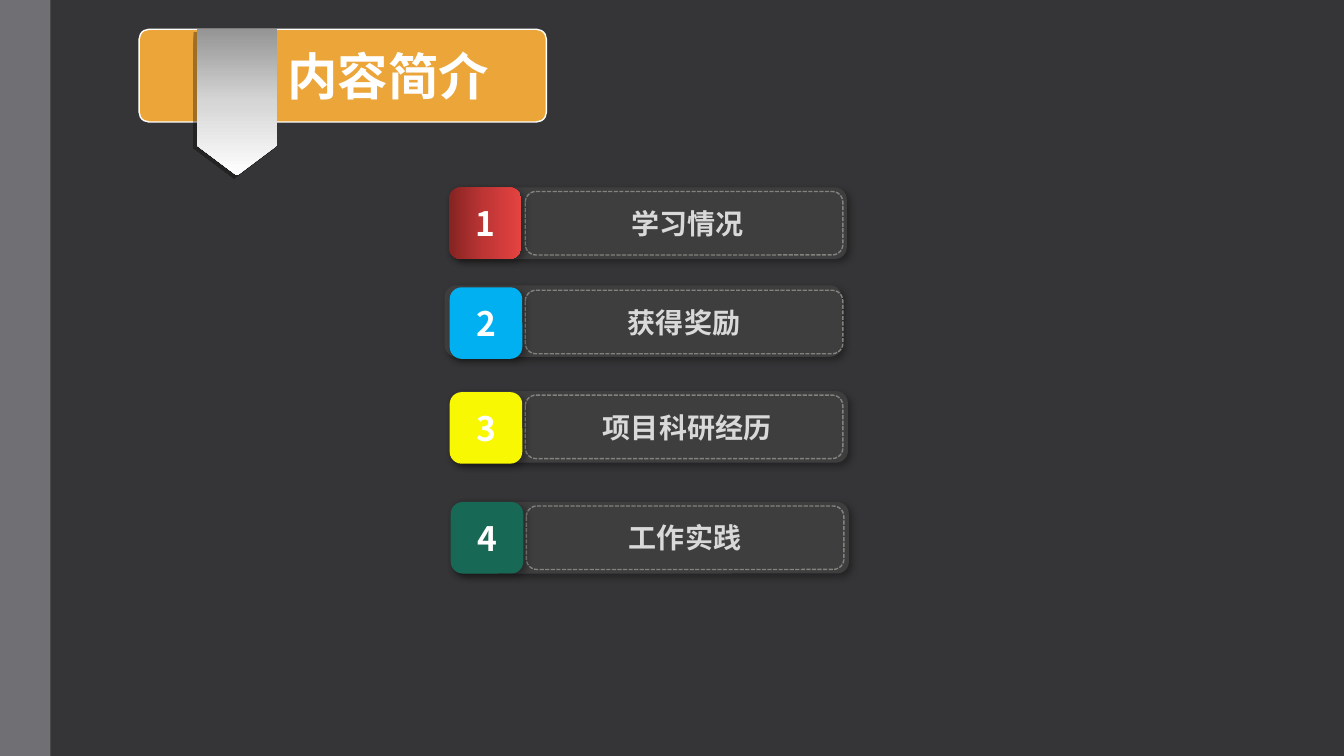
from dataclasses import dataclass

from lxml.etree import SubElement
from pptx import Presentation
from pptx.dml.color import RGBColor
from pptx.enum.dml import MSO_LINE
from pptx.enum.shapes import MSO_SHAPE
from pptx.enum.text import MSO_ANCHOR, PP_ALIGN
from pptx.oxml.ns import qn
from pptx.util import Inches, Pt


@dataclass(frozen=True)
class Theme:
    font: str = "Noto Sans CJK SC"
    background: str = "353537"
    rail: str = "6F6F74"
    banner: str = "ECA539"
    white: str = "FFFFFF"
    bar: str = "3E3E3E"
    dashes: str = "82827E"
    label: str = "D9D9D9"
    ribbon: tuple = ("959595", "D6D6D6", "FFFFFF")
    red: tuple = ("842322", "BF3635", "E44341")
    blue: str = "00B0F0"
    yellow: str = "F8F802"
    green: str = "176854"
    title_size: int = 36
    number_size: int = 24
    label_size: int = 20


THEME = Theme()

# Each row: topic, badge colour, (left, top) of bar, frame and badge, label inset
TOPICS = [
    ("学习情况", THEME.red, (4.46, 1.86), (5.21, 1.9), (4.45, 1.86), 0.16),
    ("获得奖励", THEME.blue, (4.41, 2.83), (5.21, 2.88), (4.46, 2.85), 0.1),
    ("项目科研经历", THEME.yellow, (4.47, 3.88), (5.21, 3.92), (4.46, 3.89), 0.16),
    ("工作实践", THEME.green, (4.48, 4.98), (5.22, 5.02), (4.47, 4.98), 0.1),
]
BAR_SIZE, FRAME_SIZE, BADGE_SIZE = (3.94, 0.71), (3.15, 0.63), (0.72, 0.71)
ROW_ROUNDING = 0.167


def rgb(value):
    return RGBColor.from_string(value)


def paint(shape, fill=None, angle=0):
    """Fill with a colour, with an evenly spaced gradient, or not at all."""
    if fill is None:
        shape.fill.background()
    elif isinstance(fill, str):
        shape.fill.solid()
        shape.fill.fore_color.rgb = rgb(fill)
    else:
        shape.fill.gradient()
        shape.fill.gradient_angle = angle
        stops = shape._element.spPr.find(".//" + qn("a:gsLst"))
        for stop in list(stops):
            stops.remove(stop)
        for index, colour in enumerate(fill):
            position = 100000 * index // (len(fill) - 1)
            stop = SubElement(stops, qn("a:gs"), pos=str(position))
            SubElement(stop, qn("a:srgbClr"), val=colour)


def outline(shape, colour=None, dash=None):
    if colour is None:
        shape.line.fill.background()
        return
    shape.line.color.rgb = rgb(colour)
    shape.line.width = Pt(1)
    if dash is not None:
        shape.line.dash_style = dash


def cast_shadow(shape, blur=5, direction=45):
    effects = shape._element.spPr.find(qn("a:effectLst"))
    shadow = SubElement(effects, qn("a:outerShdw"), blurRad=str(Pt(blur)),
                        dist=str(Pt(3)), dir=str(direction * 60000),
                        algn="ctr", rotWithShape="0")
    colour = SubElement(shadow, qn("a:srgbClr"), val="000000")
    SubElement(colour, qn("a:alpha"), val="33000")


def add_box(slide, position, size, rounding=None, fill=None, line=None, dash=None):
    kind = MSO_SHAPE.RECTANGLE if rounding is None else MSO_SHAPE.ROUNDED_RECTANGLE
    box = slide.shapes.add_shape(kind, *map(Inches, position + size))
    if rounding is not None:
        box.adjustments[0] = rounding
    box.shadow.inherit = False
    paint(box, fill)
    outline(box, line, dash)
    return box


def write(shape, text, *, size, colour, inset=0.1):
    frame = shape.text_frame
    frame.word_wrap = True
    frame.vertical_anchor = MSO_ANCHOR.MIDDLE
    frame.margin_left = Inches(inset)
    paragraph = frame.paragraphs[0]
    paragraph.alignment = PP_ALIGN.CENTER
    run = paragraph.add_run()
    run.text = text
    run.font.size = Pt(size)
    run.font.bold = True
    run.font.color.rgb = rgb(colour)
    run.font.name = THEME.font
    SubElement(run.font._element, qn("a:ea"), typeface=THEME.font)


def add_ribbon(slide):
    left, middle, right = Inches(1.95), Inches(2.35), Inches(2.75)
    top, notch, tip = Inches(0.29), Inches(1.44), Inches(1.74)
    builder = slide.shapes.build_freeform(left, top)
    builder.add_line_segments(
        [(right, top), (right, notch), (middle, tip), (left, notch)], close=True)
    ribbon = builder.convert_to_shape()
    ribbon.shadow.inherit = False
    paint(ribbon, THEME.ribbon, angle=270)
    outline(ribbon)
    cast_shadow(ribbon, blur=0, direction=135)


def add_topic(slide, number, topic, badge_fill, bar_at, frame_at, badge_at, inset):
    bar = add_box(slide, bar_at, BAR_SIZE, ROW_ROUNDING, THEME.bar)
    cast_shadow(bar)
    label = add_box(slide, frame_at, FRAME_SIZE, ROW_ROUNDING,
                    line=THEME.dashes, dash=MSO_LINE.SQUARE_DOT)
    write(label, topic, size=THEME.label_size, colour=THEME.label, inset=inset)
    badge = add_box(slide, badge_at, BADGE_SIZE, ROW_ROUNDING, badge_fill)
    cast_shadow(badge)
    write(badge, str(number), size=THEME.number_size, colour=THEME.white)


def main():
    deck = Presentation()
    deck.slide_width, deck.slide_height = Inches(13.33), Inches(7.5)
    slide = deck.slides.add_slide(deck.slide_layouts[6])

    # Background and side rail
    slide.background.fill.solid()
    slide.background.fill.fore_color.rgb = rgb(THEME.background)
    add_box(slide, (0, 0), (0.5, 7.5), fill=THEME.rail)

    # Title banner, its text set clear of the ribbon
    banner = add_box(slide, (1.38, 0.29), (4.04, 0.92), 0.107,
                     THEME.banner, THEME.white)
    write(banner, "内容简介", size=THEME.title_size, colour=THEME.white, inset=1)
    add_ribbon(slide)

    # Numbered topics
    for number, topic in enumerate(TOPICS, start=1):
        add_topic(slide, number, *topic)

    deck.save("out.pptx")


if __name__ == "__main__":
    main()
